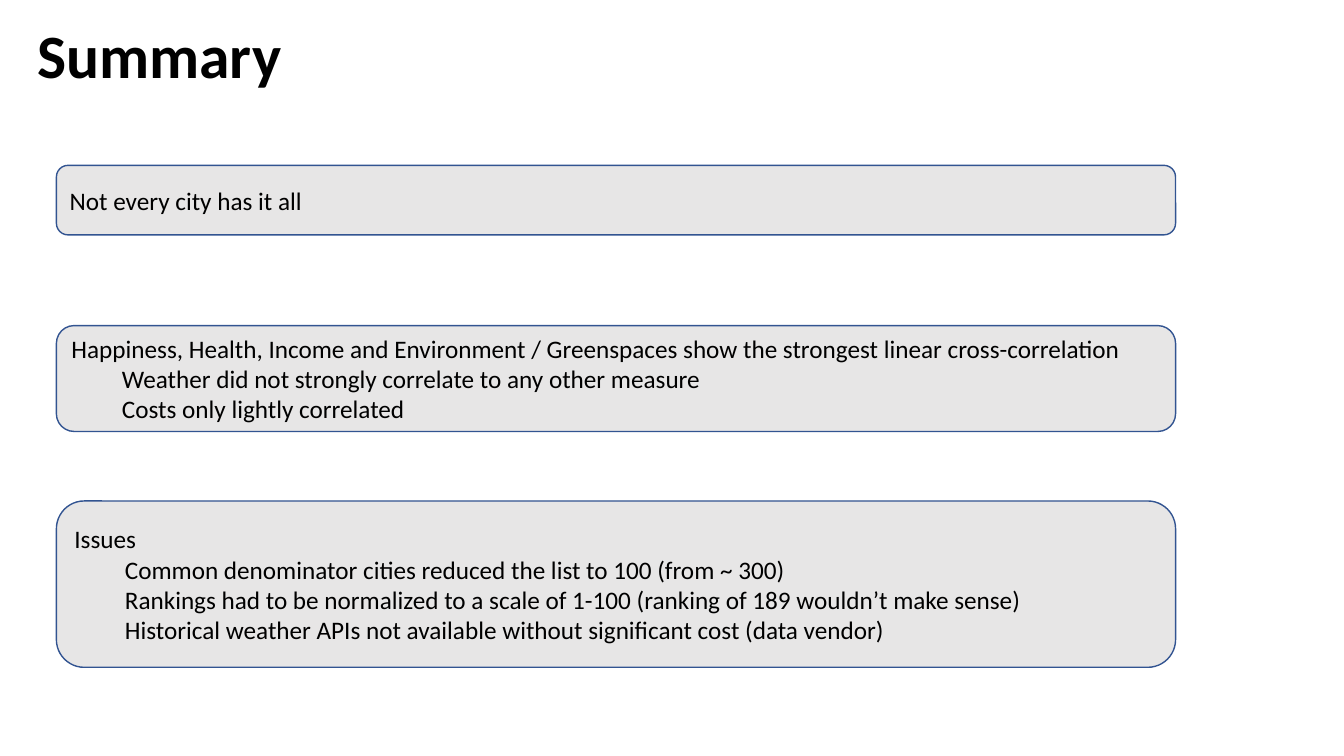
"""Build the Summary slide: a title above three rounded panels of findings."""
from dataclasses import dataclass

from pptx import Presentation
from pptx import util as u
from pptx.dml.color import RGBColor
from pptx.enum import shapes, text


@dataclass(frozen=True)
class Theme:
    """Colours, font and type sizes of the slide."""
    font: str = "Calibri"
    ink: str = "000000"
    panel: str = "E7E6E6"
    border: str = "325491"
    title_size: int = 44
    body_size: int = 18


@dataclass(frozen=True)
class Panel:
    """A rounded box with a lead line and indented details."""
    top: float
    height: float
    lead: str
    details: tuple[str, ...] = ()


THEME = Theme()
WIDTH, HEIGHT = u.Inches(13.33), u.Inches(7.5)
PANEL_LEFT, PANEL_WIDTH = 4.2, 83.27
PANELS = (
    Panel(21.87, 9.2, "Not every city has it all"),
    Panel(43.07, 14, "Happiness, Health, Income and Environment / Greenspaces "
          "show the strongest linear cross-correlation", (
              "Weather did not strongly correlate to any other measure",
              "Costs only lightly correlated")),
    Panel(66.27, 22, "Issues", (
        "Common denominator cities reduced the list to 100 (from ~ 300)",
        "Rankings had to be normalized to a scale of 1-100 "
        "(ranking of 189 wouldn’t make sense)",
        "Historical weather APIs not available without significant cost "
        "(data vendor)")),
)


def box(left: float, top: float, width: float, height: float) -> tuple[int, ...]:
    """Turn percentages of the slide into a position and size."""
    return (int(WIDTH * left / 100), int(HEIGHT * top / 100),
            int(WIDTH * width / 100), int(HEIGHT * height / 100))


def write(p, words: str, *, size: int, bold: bool = False, level: int = 0,
          spacing: float = 1.0) -> None:
    """Put formatted, left-aligned words into a paragraph."""
    p.alignment, p.level, p.line_spacing = text.PP_ALIGN.LEFT, level, spacing
    r = p.add_run()
    r.text = words
    r.font.name, r.font.size, r.font.bold = THEME.font, u.Pt(size), bold
    r.font.color.rgb = RGBColor.from_string(THEME.ink)


def draw_title(s, words: str) -> None:
    """Place and fill the title placeholder."""
    sp = s.shapes.title
    sp.left, sp.top, sp.width, sp.height = box(2.03, 2.27, 86.27, 11.07)
    tf = sp.text_frame
    tf.vertical_anchor = text.MSO_ANCHOR.MIDDLE
    write(tf.paragraphs[0], words, size=THEME.title_size, bold=True, spacing=0.9)


def draw_panel(s, panel: Panel) -> None:
    """Draw one panel with its lead line and details."""
    sp = s.shapes.add_shape(shapes.MSO_SHAPE.ROUNDED_RECTANGLE,
                            *box(PANEL_LEFT, panel.top, PANEL_WIDTH, panel.height))
    sp.shadow.inherit = False
    sp.fill.solid()
    sp.fill.fore_color.rgb = RGBColor.from_string(THEME.panel)
    sp.line.color.rgb = RGBColor.from_string(THEME.border)
    sp.line.width = u.Pt(1)
    tf = sp.text_frame
    tf.word_wrap = True
    tf.vertical_anchor = text.MSO_ANCHOR.MIDDLE
    write(tf.paragraphs[0], panel.lead, size=THEME.body_size)
    for detail in panel.details:
        write(tf.add_paragraph(), detail, size=THEME.body_size, level=1)


def main() -> None:
    """Create and save the presentation."""
    prs = Presentation()
    prs.slide_width, prs.slide_height = WIDTH, HEIGHT
    s = prs.slides.add_slide(prs.slide_layouts.get_by_name("Title Only"))
    draw_title(s, "Summary")
    for panel in PANELS:
        draw_panel(s, panel)
    prs.save("out.pptx")


main()
